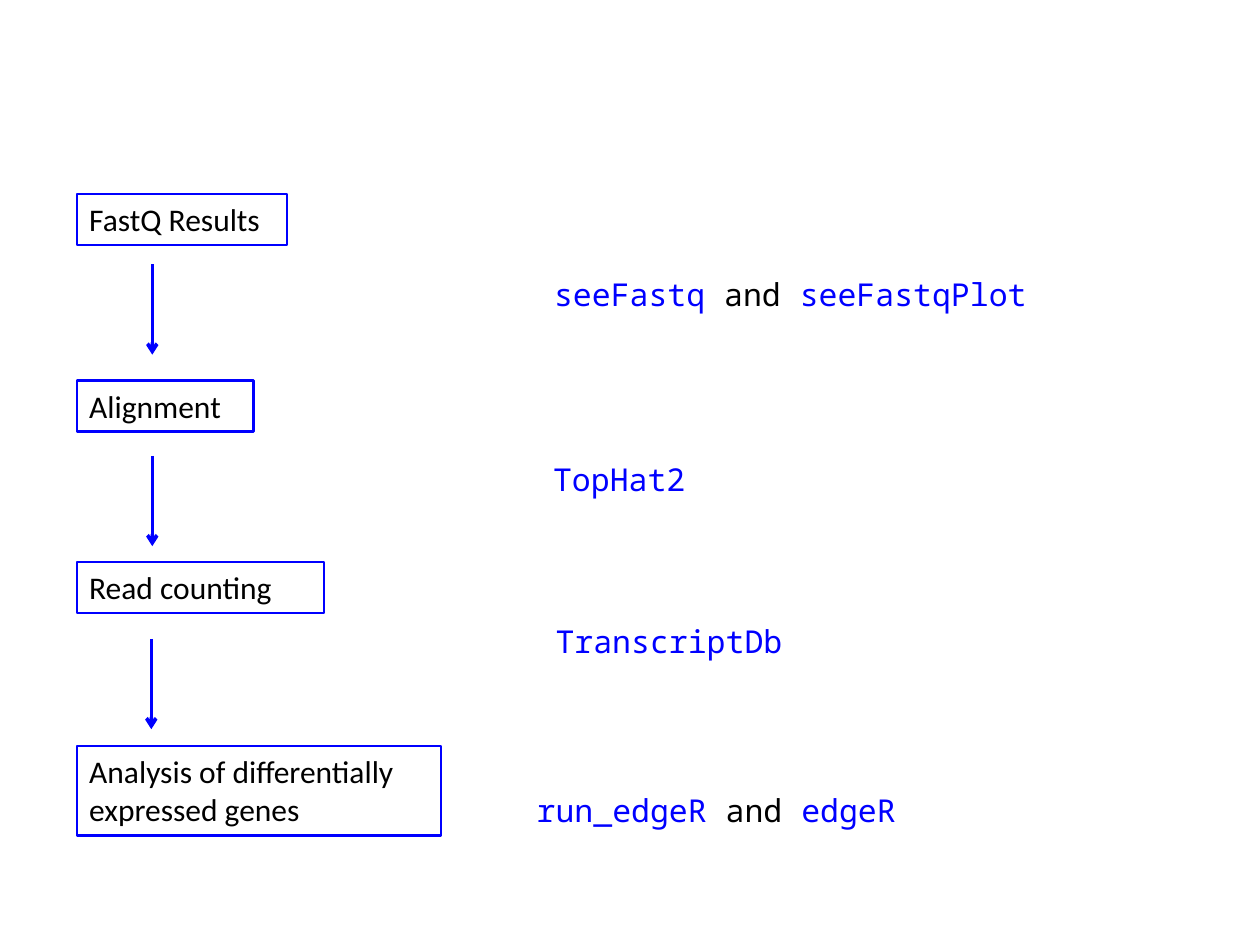
from lxml import etree
from pptx import Presentation
from pptx.dml.color import RGBColor
from pptx.enum.shapes import MSO_CONNECTOR as Connector, MSO_SHAPE as Shape
from pptx.enum.text import MSO_ANCHOR as Anchor, MSO_AUTO_SIZE as AutoSize, PP_ALIGN as Align
from pptx.oxml.ns import qn
from pptx.util import Cm, Pt

BLUE = "0000FF"
BLACK = "000000"
LINE_HEIGHT = 1.03
STEP_LEFT = 1.55
ARROW_LENGTH = 1.82

STEPS = [
    ("FastQ Results", 3.91, 4.24, LINE_HEIGHT),
    ("Alignment", 7.67, 3.56, LINE_HEIGHT),
    ("Read counting", 11.33, 4.98, LINE_HEIGHT),
    ("Analysis of differentially expressed genes", 15.04, 7.34, 1.8),
]
ARROWS = [(3.07, 5.33), (3.07, 9.19), (3.05, 12.88)]
TOOLS = [
    (10.92, 5.41, 10.13, False, [("seeFastq", BLUE), (" and ", BLACK), ("seeFastqPlot", BLUE)]),
    (10.9, 9.14, 3.2, False, [("TopHat2", BLUE)]),
    (10.95, 12.42, 5.13, False, [("TranscriptDb", BLUE)]),
    (10.57, 15.82, 12.7, True, [("run_edgeR ", BLUE), ("and ", BLACK), ("edgeR", BLUE)]),
]


def color(value):
    """Turn a hex string into a colour."""
    return RGBColor.from_string(value)


def write_text(shape, runs, font="Calibri", size=18, wrap=True):
    """Fill a shape with one left-aligned paragraph of coloured runs."""
    frame = shape.text_frame
    frame.word_wrap = wrap
    frame.auto_size = AutoSize.SHAPE_TO_FIT_TEXT
    frame.vertical_anchor = Anchor.TOP
    paragraph = frame.paragraphs[0]
    paragraph.alignment = Align.LEFT
    for text, value in runs:
        run = paragraph.add_run()
        run.text = text
        run.font.name = font
        run.font.size = Pt(size)
        run.font.color.rgb = color(value)


def add_step(slide, text, top, width, height):
    """Add an outlined box for one step of the workflow."""
    shape = slide.shapes.add_shape(
        Shape.RECTANGLE, Cm(STEP_LEFT), Cm(top), Cm(width), Cm(height))
    shape.shadow.inherit = False
    shape.fill.background()
    shape.line.color.rgb = color(BLUE)
    shape.line.width = Pt(1.5)
    write_text(shape, [(text, BLACK)])


def add_arrow(slide, left, top):
    """Add a downward arrow between two steps."""
    arrow = slide.shapes.add_connector(
        Connector.STRAIGHT, Cm(left), Cm(top), Cm(left), Cm(top + ARROW_LENGTH))
    arrow.line.color.rgb = color(BLUE)
    arrow.line.width = Pt(2)
    etree.SubElement(arrow.line._get_or_add_ln(), qn("a:tailEnd"), type="arrow")
    etree.SubElement(arrow._element.spPr, qn("a:effectLst"))


def add_tool(slide, left, top, width, wrap, runs):
    """Add the names of the tools used for a step."""
    shape = slide.shapes.add_textbox(Cm(left), Cm(top), Cm(width), Cm(LINE_HEIGHT))
    write_text(shape, runs, font="Noto Sans Mono", wrap=wrap)


def main():
    """Build the workflow slide and save it."""
    presentation = Presentation()
    presentation.slide_width = Cm(25.4)
    presentation.slide_height = Cm(19.05)
    slide = presentation.slides.add_slide(presentation.slide_layouts[6])
    for step in STEPS:
        add_step(slide, *step)
    for arrow in ARROWS:
        add_arrow(slide, *arrow)
    for tool in TOOLS:
        add_tool(slide, *tool)
    presentation.save("out.pptx")


if __name__ == "__main__":
    main()
